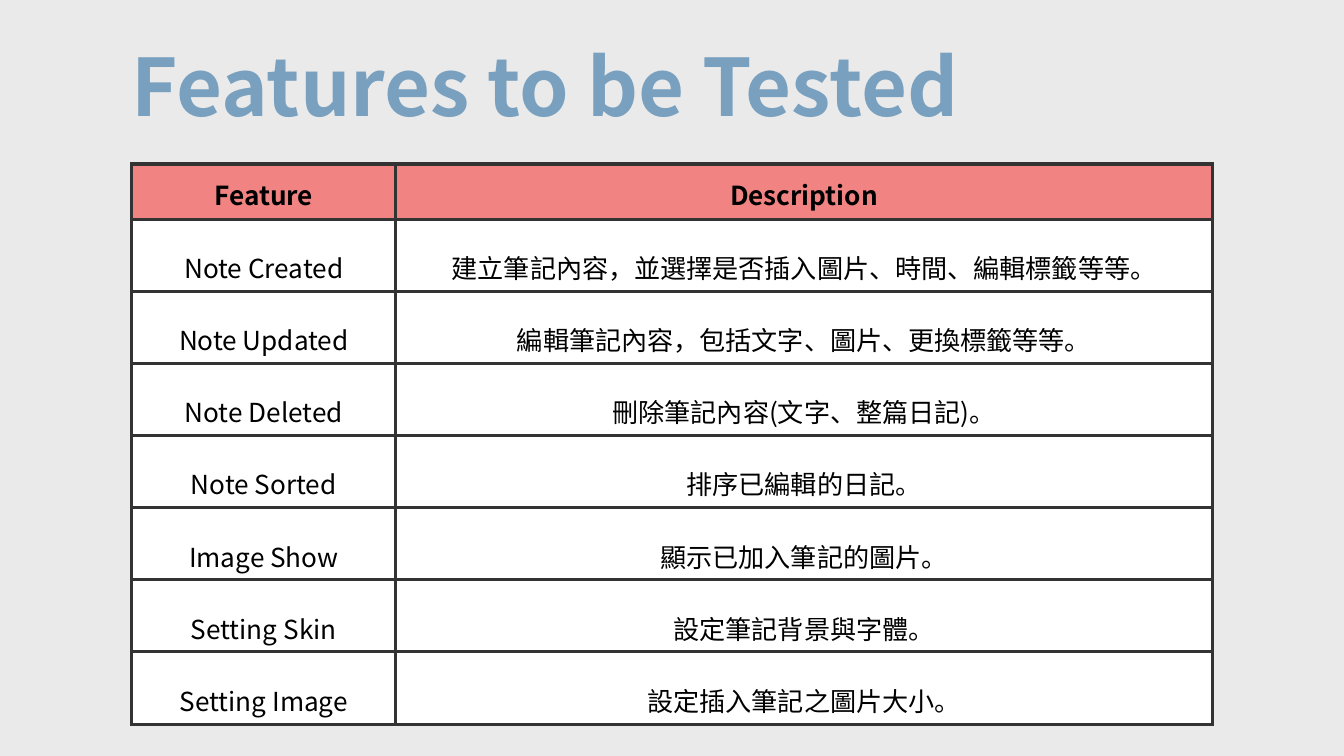
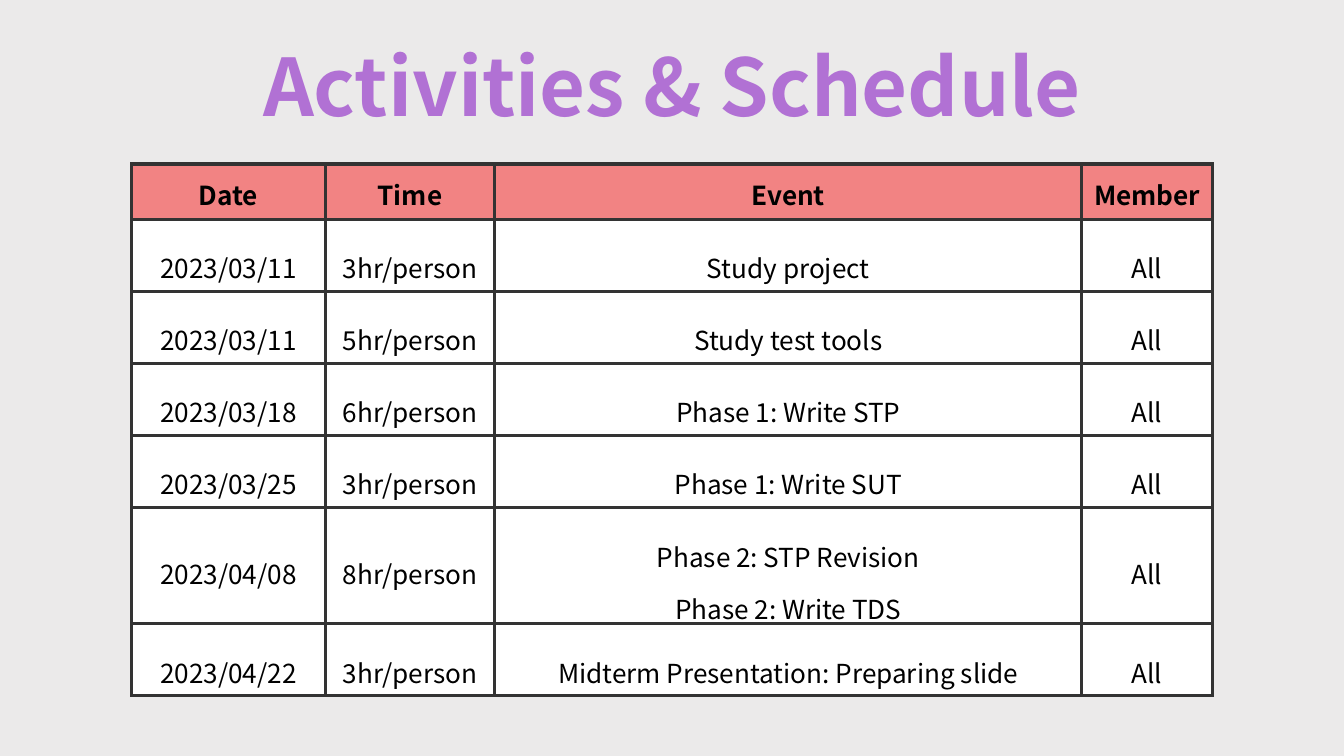
"""Build two test-plan table slides: features to be tested and the activity schedule."""
from lxml.etree import SubElement
from pptx import Presentation
from pptx.dml.color import RGBColor
from pptx.enum.text import MSO_ANCHOR, MSO_AUTO_SIZE, PP_ALIGN
from pptx.oxml.ns import qn
from pptx.util import Inches, Pt

FONT = "Noto Sans CJK JP"
COLORS = {
    "background": "EBEAEA",
    "blue": "79A1BF",
    "purple": "B171D4",
    "header": "F28383",
    "body": "FFFFFF",
    "border": "333333",
    "text": "000000",
}
LEFT, WIDTH = 1.96, 16.07
TITLE_TOP, TITLE_HEIGHT, TITLE_INSET = 0.47, 1.5, 0.25
TABLE_TOP, HEADER_HEIGHT, ROW_HEIGHT, LINE_HEIGHT = 2.44, 0.82, 1.06, 0.64
BORDER_WIDTH = Pt(3.75)

SLIDES = [
    {
        "title": "Features to be Tested",
        "color": "blue",
        "align": PP_ALIGN.LEFT,
        "columns": [3.93, 12.15],
        "rows": [
            ("Feature", "Description"),
            ("Note Created", "建立筆記內容，並選擇是否插入圖片、時間、編輯標籤等等。"),
            ("Note Updated", "編輯筆記內容，包括文字、圖片、更換標籤等等。"),
            ("Note Deleted", "刪除筆記內容(文字、整篇日記)。"),
            ("Note Sorted", "排序已編輯的日記。"),
            ("Image Show", "顯示已加入筆記的圖片。"),
            ("Setting Skin", "設定筆記背景與字體。"),
            ("Setting Image", "設定插入筆記之圖片大小。"),
        ],
    },
    {
        "title": "Activities & Schedule",
        "color": "purple",
        "align": PP_ALIGN.CENTER,
        "columns": [2.88, 2.52, 8.74, 1.94],
        "rows": [
            ("Date", "Time", "Event", "Member"),
            ("2023/03/11", "3hr/person", "Study project", "All"),
            ("2023/03/11", "5hr/person", "Study test tools", "All"),
            ("2023/03/18", "6hr/person", "Phase 1: Write STP", "All"),
            ("2023/03/25", "3hr/person", "Phase 1: Write SUT", "All"),
            ("2023/04/08", "8hr/person", "Phase 2: STP Revision\nPhase 2: Write TDS", "All"),
            ("2023/04/22", "3hr/person", "Midterm Presentation: Preparing slide", "All"),
        ],
    },
]


def rgb(name):
    return RGBColor.from_string(COLORS[name])


def style_paragraph(p, size, color, bold, align, spacing):
    p.alignment = align
    p.line_spacing = spacing
    p.font.size = Pt(size)
    p.font.bold = bold
    p.font.color.rgb = rgb(color)
    p.font.name = FONT
    SubElement(p._p.pPr.find(qn("a:defRPr")), qn("a:ea"), typeface=FONT)


def add_title(s, text, color, align):
    sp = s.shapes.add_textbox(Inches(LEFT), Inches(TITLE_TOP), Inches(WIDTH), Inches(TITLE_HEIGHT))
    tf = sp.text_frame
    tf.word_wrap = True
    tf.auto_size = MSO_AUTO_SIZE.SHAPE_TO_FIT_TEXT
    tf.margin_left = tf.margin_right = tf.margin_bottom = 0
    tf.margin_top = Inches(TITLE_INSET)
    tf.text = text
    style_paragraph(tf.paragraphs[0], 85, color, True, align, 0.9)


def add_borders(cell):
    tc_pr = cell._tc.get_or_add_tcPr()
    for side in ("L", "R", "T", "B"):
        line = SubElement(tc_pr, qn(f"a:ln{side}"), w=str(BORDER_WIDTH))
        fill = SubElement(line, qn("a:solidFill"))
        SubElement(fill, qn("a:srgbClr"), val=COLORS["border"])


def fill_cell(cell, text, is_header):
    add_borders(cell)
    cell.fill.solid()
    cell.fill.fore_color.rgb = rgb("header" if is_header else "body")
    cell.vertical_anchor = MSO_ANCHOR.MIDDLE
    cell.margin_left = cell.margin_right = Inches(0.07 if is_header else 0.21)
    cell.margin_top = cell.margin_bottom = Inches(0 if is_header else 0.21)
    cell.text_frame.text = text
    for p in cell.text_frame.paragraphs:
        style_paragraph(p, 28, "text", is_header, PP_ALIGN.CENTER, 1.15 if is_header else 1.4)


def row_height(row):
    return ROW_HEIGHT + LINE_HEIGHT * max(text.count("\n") for text in row)


def add_grid(s, columns, rows):
    heights = [HEADER_HEIGHT] + [row_height(row) for row in rows[1:]]
    table = s.shapes.add_table(
        len(rows), len(columns), Inches(LEFT), Inches(TABLE_TOP), Inches(WIDTH), Inches(sum(heights))
    ).table
    table.first_row = table.horz_banding = False
    for column, width in zip(table.columns, columns):
        column.width = Inches(width)
    for i, (row, height) in enumerate(zip(rows, heights)):
        table.rows[i].height = Inches(height)
        for j, text in enumerate(row):
            fill_cell(table.cell(i, j), text, i == 0)


def main():
    prs = Presentation()
    prs.slide_width, prs.slide_height = Inches(20), Inches(11.25)
    for content in SLIDES:
        s = prs.slides.add_slide(prs.slide_layouts[6])
        s.background.fill.solid()
        s.background.fill.fore_color.rgb = rgb("background")
        add_title(s, content["title"], content["color"], content["align"])
        add_grid(s, content["columns"], content["rows"])
    prs.save("out.pptx")


if __name__ == "__main__":
    main()
